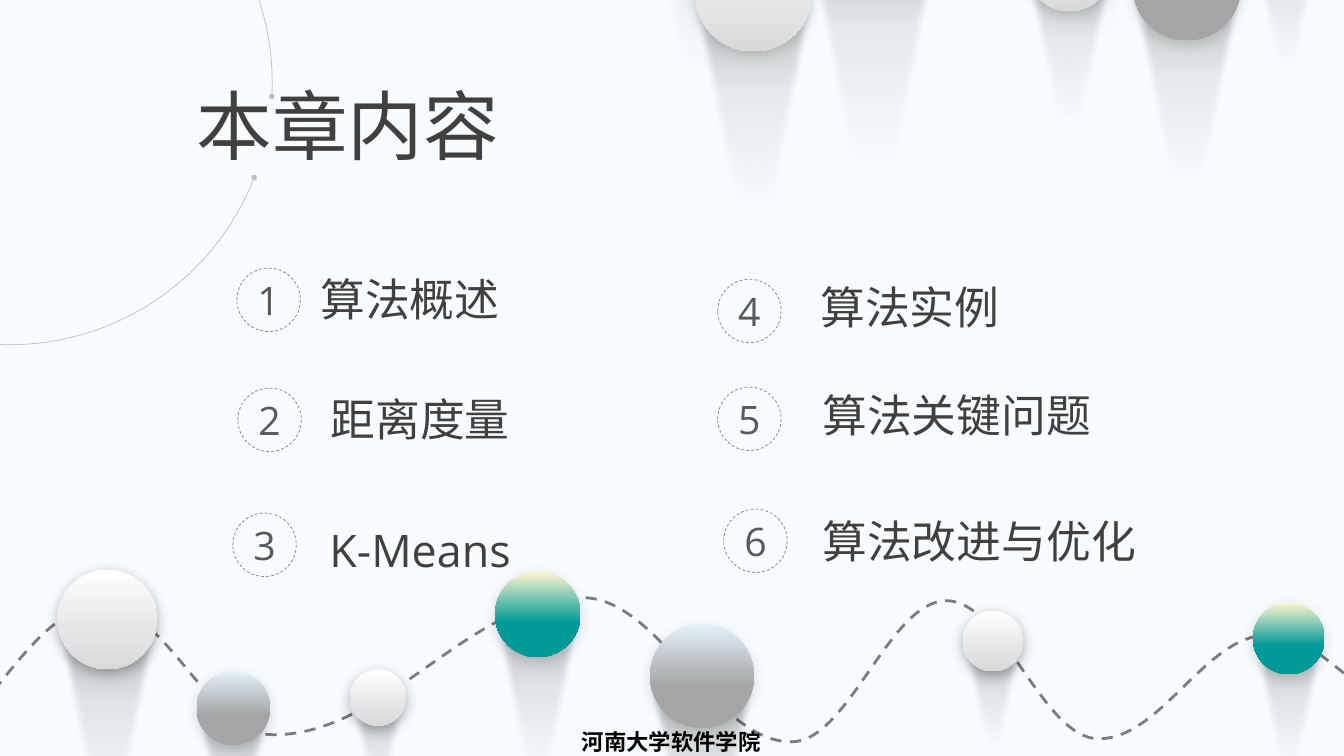
from itertools import pairwise
from lxml.etree import SubElement as Sub
from pptx import Presentation
from pptx.dml.color import RGBColor
from pptx.enum.dml import MSO_LINE as Dash
from pptx.enum.shapes import MSO_SHAPE as Form
from pptx.enum.text import MSO_ANCHOR as Anchor, MSO_AUTO_SIZE as Fit, PP_ALIGN as Align
from pptx.oxml.ns import qn
from pptx.util import Inches, Pt

ink = RGBColor.from_string
cell = Inches(0.1)
deck = Presentation()
deck.slide_width = int(133.33 * cell)
deck.slide_height = 75 * cell
slide = deck.slides.add_slide(deck.slide_layouts[5])
slide.background.fill.solid()
slide.background.fill.fore_color.rgb = ink("F8FCFE")
page = slide.shapes


def curve(home, dots, close):
    dots = [(x * cell, y * cell) for x, y in dots]
    pen = home.build_freeform(*dots[0])
    pen.add_line_segments(dots[1:], close=close)
    shape = pen.convert_to_shape()
    shape.shadow.inherit = False
    steps = list(shape.element.iter(qn("a:lnTo")))
    for k in range(0, len(steps), 3):
        bend = steps[k].makeelement(qn("a:cubicBezTo"))
        steps[k].addprevious(bend)
        for step in steps[k:k + 3]:
            bend.append(step[0])
            step.getparent().remove(step)
    return shape


def paint(shape, stops):
    shape.line.fill.background()
    shape.fill.background()
    shape.shadow.inherit = False
    props = shape.element.spPr
    blank = props.find(qn("a:noFill"))
    fill = blank.makeelement(qn("a:gradFill"), rotWithShape="1")
    props.replace(blank, fill)
    row = Sub(fill, qn("a:gsLst"))
    for place, tone, alpha in stops:
        stop = Sub(row, qn("a:gs"), pos=str(place * 1000))
        hue = Sub(stop, qn("a:srgbClr"), val=tone)
        Sub(hue, qn("a:alpha"), val=str(alpha * 1000))
    Sub(fill, qn("a:lin"), ang="5400000", scaled="0")
    return props.find(qn("a:effectLst"))


arc = page.add_shape(Form.ARC, *[int(n * cell) for n in (-25.1, -17.9, 52.1, 52.1)])
arc.adjustments[0], arc.adjustments[1] = 12.794, 1.883
arc.shadow.inherit = False
arc.fill.background()
arc.line.color.rgb = ink("BFBFBF")
arc.line.width = Pt(0.5)
for end in ("a:headEnd", "a:tailEnd"):
    Sub(arc.element.spPr.find(qn("a:ln")), qn(end), type="oval", w="sm", len="sm")

start, finish = (-0.6, 68.5, -1.25), (134.2, 67.5, 0.8)
crests = [(10.2, 60.1), (57.8, 59.3), (93.9, 59.6), (125.8, 63)]
dips = [(27.1, 72.9), (78.5, 73.6), (109, 73.3)]
turns = [(x, y, 0) for x, y in sorted(crests + dips)]
ease = 0.37
trail = [start[:2]]
for (x, y, lean), (nextx, nexty, nextlean) in pairwise([start, *turns, finish]):
    reach = ease * (nextx - x)
    trail += [(x + reach, y + reach * lean),
              (nextx - reach, nexty - reach * nextlean), (nextx, nexty)]
wave = curve(page, trail, False)
wave.fill.background()
wave.line.color.rgb = ink("7C7C7C")
wave.line.width = Pt(2)
wave.line.dash_style = Dash.DASH

haze = [(30, "000000", 0), (50, "000000", 4), (70, "000000", 8), (100, "262626", 30)]
dusk = [(30, "000000", 0), (50, "000000", 5), (70, "000000", 10), (100, "000000", 30)]
tints = {
    "white": [(0, "FFFFFF", 100), (60, "E7E6E6", 100), (100, "D9D9D9", 100)],
    "gray": [(1, "E1F0F9", 100), (60, "A5A5A5", 100), (100, "A5A5A5", 100)],
    "teal": [(0, "FFF6CF", 100), (60, "009999", 100), (100, "009999", 100)],
}
horn = [(1, 1), (0.84, 0.67), (0.55, 0), (0.5, 0), (0.45, 0), (0.16, 0.67), (0, 1)]

lone = [(88.4, -14.4, 6.4), (97.7, -16.3, 8.4), (92.9, -28.3, 13.7), (89.2, -21, 10.3),
        (123.7, -5.9, 7.8), (62.5, -17.5, 14.9), (78.2, -16.2, 9), (76.2, -22.3, 9.6),
        (79.2, -8.5, 14.9), (73.2, -12, 10), (103, -16.1, 11.8), (110.2, -10.4, 6.9)]
high = [("white", 101.8, -7.5, 8.6), ("white", 68.9, -6.6, 11.7), ("gray", 112.4, -6.7, 10.7)]
low = [("white", 5.7, 56.5, 9.9), ("gray", 19.5, 66.6, 7.3), ("white", 34.7, 66.4, 5.6),
       ("teal", 49.1, 56.7, 8.5), ("gray", 64.5, 61.9, 10.3), ("white", 95.5, 60.6, 6),
       ("teal", 124.3, 59.8, 7.1)]

roof = page.add_group_shape().shapes
beams = [(roof, haze, x, y, wide, None) for x, y, wide in lone]
for mist, balls in ((haze, high), (dusk, low)):
    for name, x, y, size in balls:
        home = roof if balls is high else page.add_group_shape().shapes
        shade = 30 if balls is low and name == "white" else 15
        ball = (name, shade, x, y, size)
        beams.append((home, mist, x - 0.05 * size, y + size / 2, 1.1 * size, ball))

for home, mist, left, top, wide, ball in beams:
    tall = 2.48 * wide
    beam = curve(home, [(left + u * wide, top + v * tall) for u, v in horn], True)
    beam.rotation = 180
    Sub(paint(beam, mist), qn("a:softEdge"), rad=str(Pt(5)))
    if ball:
        name, shade, x, y, size = ball
        disc = home.add_shape(Form.OVAL, *[int(n * cell) for n in (x, y, size, size)])
        glow = Sub(paint(disc, tints[name]), qn("a:outerShdw"), blurRad=str(Pt(10)),
                   dist=str(Pt(3)), dir="5400000", algn="t", rotWithShape="0")
        hue = Sub(glow, qn("a:srgbClr"), val="000000")
        Sub(hue, qn("a:alpha"), val=str(shade * 1000))

title = page.title
title.left, title.top, title.width, title.height = [int(n * cell) for n in (18.5, 7.3, 32.3, 10.1)]
foot = page.add_textbox(*[int(n * cell) for n in (49.3, 71.7, 34.6, 3.3)])
texts = [("title", title, "本章内容"), ("foot", foot, "河南大学软件学院")]

topics = [
    ("算法概述", (23.5, 26.6), (30.8, 26.5), 20),
    ("距离度量", (23.6, 38.5), (31.8, 38.4), 20),
    ("K-Means", (23.1, 50.9), (31.7, 51.4), 21.3),
    ("算法实例", (71.2, 27.7), (80.4, 27.3), 20),
    ("算法关键问题", (71.2, 38.4), (80.6, 38), 28.9),
    ("算法改进与优化", (71.8, 50.5), (80.6, 50.5), 33.4),
]
for count, (topic, spot, place, wide) in enumerate(topics, 1):
    ring = page.add_shape(Form.OVAL, *[int(n * cell) for n in (*spot, 6.3, 6.3)])
    ring.shadow.inherit = False
    ring.fill.background()
    ring.line.color.rgb = ink("808080")
    ring.line.width = Pt(0.5)
    ring.line.dash_style = Dash.DASH
    label = page.add_textbox(*[int(n * cell) for n in (*place, wide, 6.4)])
    texts += [("ring", ring, str(count)), ("label", label, topic)]

styles = {
    "title": (54, "404040", "Open Sans", False, Align.LEFT, Anchor.TOP),
    "label": (32, "404040", "Open Sans", False, Align.LEFT, Anchor.TOP),
    "ring": (28, "595959", "Open Sans", False, Align.CENTER, Anchor.MIDDLE),
    "foot": (16, "000000", "DejaVu Sans", True, Align.CENTER, Anchor.TOP),
}
for role, shape, words in texts:
    size, tone, face, bold, align, anchor = styles[role]
    frame = shape.text_frame
    frame.text = words
    frame.word_wrap = align == Align.CENTER
    frame.auto_size = Fit.NONE if frame.word_wrap else Fit.SHAPE_TO_FIT_TEXT
    frame.vertical_anchor = anchor
    line = frame.paragraphs[0]
    line.alignment = align
    font = line.runs[0].font
    font.name, font.size, font.bold = face, Pt(size), bold
    font.color.rgb = ink(tone)

deck.save("out.pptx")
